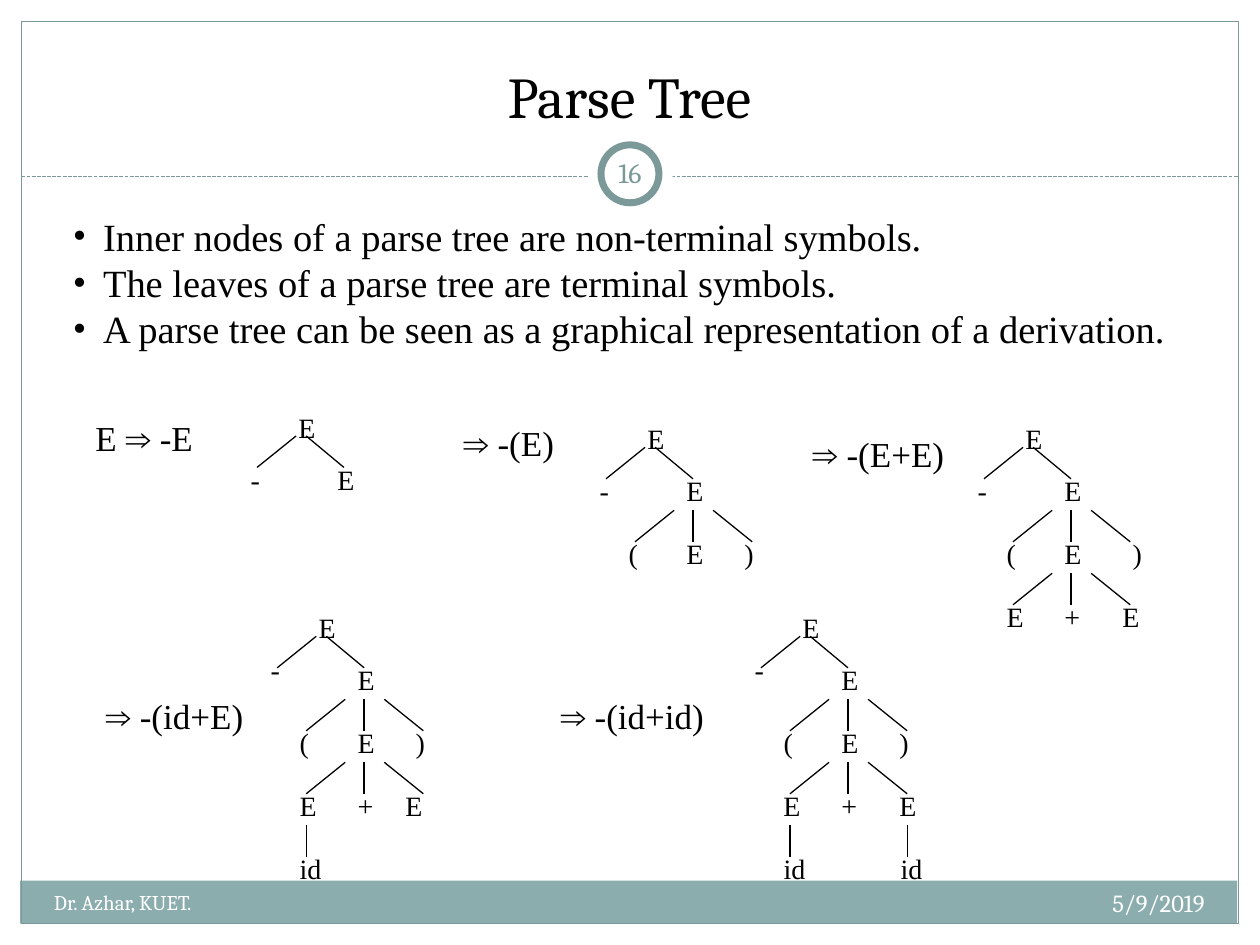
from lxml import etree
from pptx import Presentation
from pptx.dml.color import RGBColor
from pptx.enum.dml import MSO_LINE
from pptx.enum.shapes import MSO_CONNECTOR, MSO_SHAPE
from pptx.enum.text import MSO_ANCHOR, MSO_AUTO_SIZE, PP_ALIGN
from pptx.oxml.ns import qn
from pptx.util import Inches, Pt

RECT, OVAL = MSO_SHAPE.RECTANGLE, MSO_SHAPE.OVAL
STRAIGHT, DASH = MSO_CONNECTOR.STRAIGHT, MSO_LINE.SQUARE_DOT
TOP, MIDDLE, BOTTOM = MSO_ANCHOR.TOP, MSO_ANCHOR.MIDDLE, MSO_ANCHOR.BOTTOM
LEFT, CENTER, RIGHT = PP_ALIGN.LEFT, PP_ALIGN.CENTER, PP_ALIGN.RIGHT
COLORS = {"white": "FFFFFF", "black": "000000", "teal": "7C999A", "bar": "8CADAE"}
HEADING_FONT, BODY_FONT = "Cambria", "Times New Roman"
NODE_WIDTHS = {"E": 0.34, "+": 0.33, "id": 0.38}
LEVEL = 0.5


def color(name):
    return RGBColor.from_string(COLORS[name])


def add_span(para, text, size=16, font=BODY_FONT, ink="black"):
    span = para.add_run()
    span.text = text
    span.font.size = Pt(size)
    span.font.name = font
    span.font.color.rgb = color(ink)


def set_bullet(para, size, indent=0.24):
    props = para._p.get_or_add_pPr()
    props.set("marL", str(Inches(indent)))
    props.set("indent", str(-Inches(indent)))
    etree.SubElement(props, qn("a:buSzPts")).set("val", str(size * 100))
    etree.SubElement(props, qn("a:buFont")).set("typeface", BODY_FONT)
    etree.SubElement(props, qn("a:buChar")).set("char", "•")


class SlideBuilder:
    def __init__(self, page):
        self.page = page
        self.canvas = page.shapes

    def shape(self, kind, at, fill=None, line=None, width=0.75):
        shape = self.canvas.add_shape(kind, *map(Inches, at))
        shape.shadow.inherit = False
        if fill:
            shape.fill.solid()
            shape.fill.fore_color.rgb = color(fill)
        else:
            shape.fill.background()
        if line:
            shape.line.color.rgb = color(line)
            shape.line.width = Pt(width)
        else:
            shape.line.fill.background()

    def line(self, x1, y1, x2, y2, ink="black", dash=None):
        line = self.canvas.add_connector(STRAIGHT, *map(Inches, (x1, y1, x2, y2)))
        line.line.color.rgb = color(ink)
        line.line.width = Pt(0.75)
        if dash:
            line.line.dash_style = dash
        etree.SubElement(line._element.spPr, qn("a:effectLst"))

    def text(self, at, text, align=LEFT, anchor=TOP, wrap=False, inset=0.1, **style):
        box = self.canvas.add_textbox(*map(Inches, at))
        frame = box.text_frame
        frame.word_wrap = wrap
        frame.auto_size = MSO_AUTO_SIZE.NONE if wrap else MSO_AUTO_SIZE.SHAPE_TO_FIT_TEXT
        frame.vertical_anchor = anchor
        frame.margin_left = frame.margin_right = Inches(inset)
        frame.paragraphs[0].alignment = align
        add_span(frame.paragraphs[0], text, **style)

    def bullets(self, at, items):
        frame = self.canvas.add_textbox(*map(Inches, at)).text_frame
        frame.word_wrap = True
        for index, (text, bullet_size) in enumerate(items):
            para = frame.add_paragraph() if index else frame.paragraphs[0]
            set_bullet(para, bullet_size)
            add_span(para, text, size=22)

    def node(self, x, y, symbol):
        self.text((x, y, NODE_WIDTHS.get(symbol, 0.28), 0.37), symbol)

    def tree(self, x, y, rows=(), ids=(), minus_drop=0.41, close=0.77, last=0.77):
        """Draw -E at (x, y), then rows of three children, then id leaves."""
        self.canvas = self.page.shapes.add_group_shape().shapes
        # Root and its two children
        self.line(x + 0.08, y + 0.25, x - 0.23, y + 0.5)
        self.line(x + 0.16, y + 0.25, x + 0.46, y + 0.5)
        self.node(x, y, "E")
        self.node(x - 0.38, y + minus_drop, "-")
        self.node(x + 0.31, y + 0.41, "E")
        # Rows that fan out from the middle node
        for row, (symbols, right) in enumerate(zip(rows, (close, last))):
            top = y + 0.75 + row * LEVEL
            for start, end in ((0.31, 0), (0.46, 0.46), (0.62, 0.93)):
                self.line(x + start, top, x + end, top + 0.25)
            for symbol, offset in zip(symbols, (-0.15, 0.31, right)):
                self.node(x + offset, top + 0.16, symbol)
        # Terminal leaves below the last row
        top = y + 0.75 + len(rows) * LEVEL
        for stem in ids:
            self.line(x + stem, top, x + stem, top + 0.25)
            self.node(x + stem - 0.15, top + 0.16, "id")
        self.canvas = self.page.shapes


def main():
    deck = Presentation()
    deck.slide_width, deck.slide_height = Inches(10), Inches(7.5)
    builder = SlideBuilder(deck.slides.add_slide(deck.slide_layouts[6]))

    # Margins, footer bar, frame and number badge
    for at in ((0, 0, 10, 1.52), (0, 0, 0.17, 7.5), (9.83, 0, 0.17, 7.5)):
        builder.shape(RECT, at, fill="white")
    builder.shape(RECT, (0.16, 6.99, 9.66, 0.34), fill="bar")
    builder.shape(RECT, (0.17, 0.17, 9.66, 7.16), line="teal")
    builder.line(0.17, 1.4, 9.83, 1.4, ink="teal", dash=DASH)
    builder.shape(OVAL, (4.67, 1.05, 0.67, 0.67), fill="white")
    builder.shape(OVAL, (4.77, 1.15, 0.46, 0.46), fill="white", line="teal", width=4)

    # Title, date, author and slide number
    heading = {"font": HEADING_FONT, "wrap": True}
    builder.text((0.33, 0.25, 9.33, 0.83), "Parse Tree", CENTER, BOTTOM, size=33, **heading)
    builder.text((6.33, 7, 3.33, 0.4), "5/9/2019", RIGHT, size=14, ink="white", **heading)
    builder.text((0.33, 7.01, 3.92, 0.4), "Dr. Azhar, KUET.", size=12, ink="white", **heading)
    builder.text((4.75, 1.13, 0.5, 0.48), "16", CENTER, MIDDLE, inset=0.05,
                 size=16, ink="teal", **heading)

    # Statements
    builder.bullets((0.48, 1.64, 8.97, 1.21), [
        ("Inner nodes of a parse tree are non-terminal symbols.", 20),
        ("The leaves of a parse tree are terminal symbols.", 22),
        ("A parse tree can be seen as a graphical representation of a derivation.", 22),
    ])

    # Derivation steps
    for x, y, width, step in (
        (0.66, 3.26, 1.13, "E ⇒ -E"),
        (3.58, 3.3, 1, "⇒ -(E)"),
        (6.35, 3.38, 1.33, "⇒ -(E+E)"),
        (0.74, 5.46, 1.38, "⇒ -(id+E)"),
        (4.35, 5.46, 1.42, "⇒ -(id+id)"),
    ):
        builder.text((x, y, width, 0.44), step, size=20)

    # One tree for each step
    group, total = "(E)", "E+E"
    builder.tree(2.27, 3.21)
    builder.tree(5.04, 3.3, [group])
    builder.tree(8.04, 3.3, [group, total], close=0.85)
    builder.tree(2.43, 4.8, [group, total], ids=[0], minus_drop=0.33, last=0.69)
    builder.tree(6.27, 4.8, [group, total], ids=[0, 0.93], minus_drop=0.33)

    deck.save("out.pptx")


if __name__ == "__main__":
    main()
